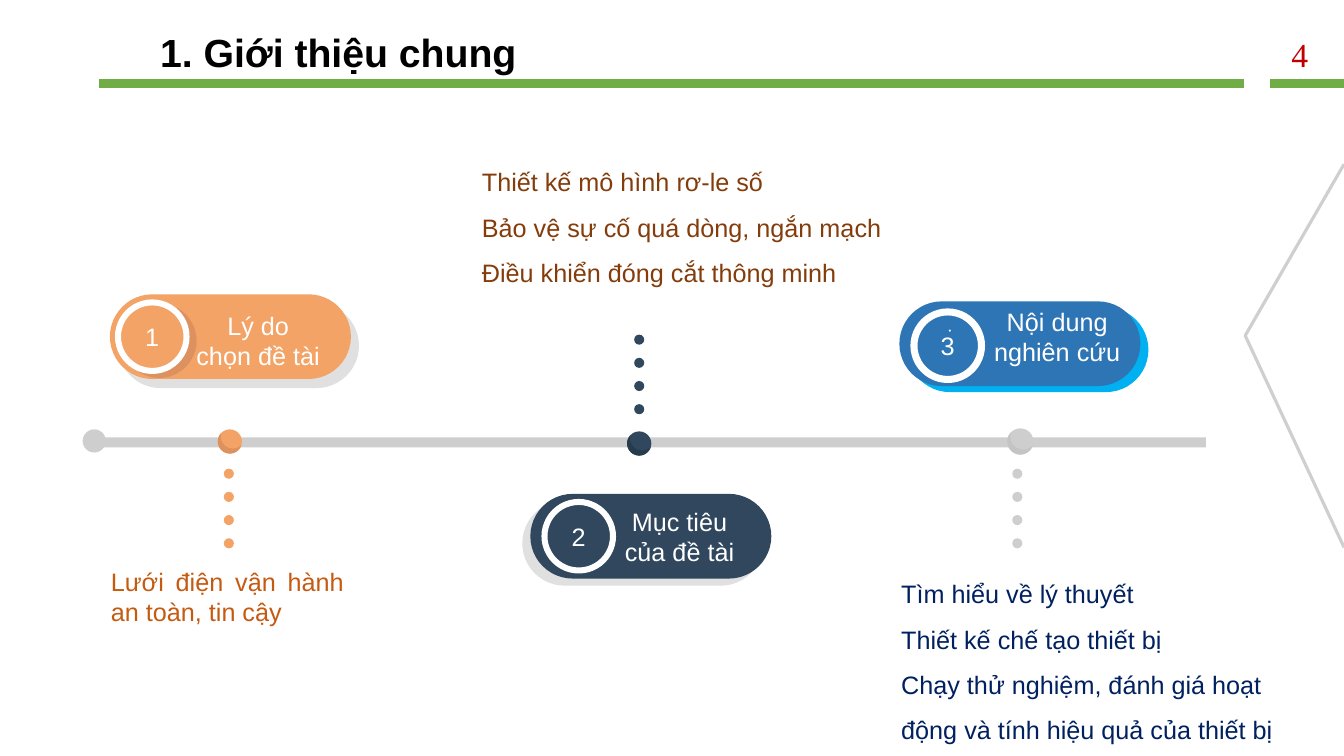
from math import acos, atan2, cos, hypot, pi, sin

from lxml.etree import SubElement
from pptx import Presentation
from pptx.dml.color import RGBColor
from pptx.enum.shapes import MSO_CONNECTOR as Link, MSO_SHAPE as Shape
from pptx.enum.text import MSO_ANCHOR as Anchor, PP_ALIGN as Align
from pptx.oxml.ns import qn
from pptx.util import Emu, Pt

SCALE = 9144  # EMU in one px, 100 px to the inch
COLORS = {
    "black": "000000", "white": "FFFFFF", "green": "70AD47", "red": "C00000",
    "orange": "F2A365", "dark orange": "DD915E", "rust": "C55A11", "brown": "843C0B",
    "navy": "30475E", "dark navy": "263C4C", "blue": "2E75B6", "sky": "00B0F0",
    "deep blue": "002060", "grey": "CECECE", "dark grey": "C4C4C4",
    "pale grey": "E0E0E0", "chevron": "D0CECE",
}


def px(length):
    return Emu(round(length * SCALE))


def color(name):
    return RGBColor.from_string(COLORS[name])


class SlideBuilder:
    def __init__(self, page, font="Arial", size=18):
        self.page = page
        self.shapes = page.shapes
        self.font = font
        self.size = size

    def paint(self, shape, fill):
        shape.shadow.inherit = False
        shape.fill.solid()
        shape.fill.fore_color.rgb = color(fill)
        shape.line.fill.background()
        return shape

    def shape(self, kind, left, top, width, height, fill):
        shape = self.shapes.add_shape(kind, px(left), px(top), px(width), px(height))
        return self.paint(shape, fill)

    def set_text(self, box, lines, ink, align=Align.LEFT, anchor=Anchor.TOP, inset=None,
                 font=None, size=None, bold=False, spacing=None, indent=0):
        frame = box.text_frame
        frame.word_wrap = True
        frame.vertical_anchor = anchor
        if inset is not None:
            frame.margin_left = frame.margin_right = px(inset)
            frame.margin_top = frame.margin_bottom = px(inset)
        frame.text = "\n".join(lines)
        for para in frame.paragraphs:
            para.alignment = align
            if spacing:
                para.line_spacing = spacing
            if indent:
                properties = para._p.get_or_add_pPr()
                properties.set("marL", str(px(indent)))
                properties.set("indent", "0")
            for span in para.runs:
                span.font.name = font or self.font
                span.font.size = Pt(size or self.size)
                span.font.bold = bold
                span.font.color.rgb = color(ink)

    def text(self, left, top, width, height, lines, ink, **style):
        box = self.shapes.add_textbox(px(left), px(top), px(width), px(height))
        self.set_text(box, lines, ink, **style)

    def rule(self, left, right, y):
        line = self.shapes.add_connector(Link.STRAIGHT, px(left), px(y), px(right), px(y))
        line.line.color.rgb = color("green")
        line.line.width = Pt(6)
        SubElement(line._element.spPr, qn("a:effectLst"))

    def outline(self, points, close):
        corners = [(px(x), px(y)) for x, y in points]
        builder = self.shapes.build_freeform(*corners[0])
        builder.add_line_segments(corners[1:], close=close)
        return builder.convert_to_shape()

    def dots(self, left, top, fill, count=4, pitch=23, size=10):
        for step in range(count):
            self.shape(Shape.OVAL, left, top + step * pitch, size, size, fill)

    def node(self, x, y, radius, fill, shade, shift=(3, -5)):
        """Disc centred on x, y, shaded where its shifted twin leaves it bare."""
        self.shape(Shape.OVAL, x - radius, y - radius, 2 * radius, 2 * radius, fill)
        across, down = shift
        turn = atan2(down, across)
        reach = acos(hypot(across, down) / (2 * radius))

        def arc(center_x, center_y, start, end, steps=24):
            angles = [turn + start + (end - start) * i / steps for i in range(steps + 1)]
            return [(center_x + radius * cos(a), center_y + radius * sin(a)) for a in angles]

        outer = arc(x, y, reach, 2 * pi - reach)
        inner = arc(x + across, y + down, pi + reach, pi - reach)
        self.paint(self.outline(outer + inner, True), shade)

    def pill(self, left, top, fill):
        pill = self.shape(Shape.ROUNDED_RECTANGLE, left, top, 239, 84, fill)
        pill.adjustments[0] = 0.5

    def ring(self, x, y, number, fill, stroke):
        """Numbered disc with a white rim, 74 px across in all."""
        size = 74 - stroke
        disc = self.shape(Shape.OVAL, x - size / 2, y - size / 2, size, size, fill)
        disc.line.color.rgb = color("white")
        disc.line.width = px(stroke)
        self.set_text(disc, [number], "white", align=Align.CENTER, anchor=Anchor.MIDDLE, inset=0)

    def label(self, left, top, width, height, lines):
        self.text(left, top, width, height, lines, "white",
                  align=Align.CENTER, anchor=Anchor.BOTTOM, inset=10)


def main():
    deck = Presentation()
    deck.slide_width, deck.slide_height = px(1333), px(750)
    slide = SlideBuilder(deck.slides.add_slide(deck.slide_layouts[6]))

    # Header
    slide.text(1271, 29, 62, 40, ["4"], "red", font="Times New Roman", size=24)
    slide.rule(98, 1234, 83)
    slide.rule(1260, 1333, 83)
    slide.text(149, 23, 459, 57, ["1. Giới thiệu chung"], "black", size=28, bold=True)

    # Timeline
    slide.dots(222, 465, "orange")
    slide.dots(629, 332, "navy")
    slide.dots(1004, 465, "grey")
    slide.shape(Shape.RECTANGLE, 88, 434, 1108, 10, "grey")
    slide.shape(Shape.OVAL, 82, 426, 23, 23, "grey")
    slide.node(228, 438, 12, "orange", "dark orange")
    slide.node(634, 440, 12, "navy", "dark navy")
    slide.node(1012, 438, 13, "grey", "dark grey")

    # Details
    slide.text(97, 573, 257, 38, ["Lưới điện vận hành an toàn, tin cậy"], "rust",
               align=Align.JUSTIFY, anchor=Anchor.MIDDLE, inset=13)
    slide.text(440, 191, 510, 54, [
        "Thiết kế mô hình rơ-le số",
        "Bảo vệ sự cố quá dòng, ngắn mạch",
        "Điều khiển đóng cắt thông minh",
    ], "brown", align=Align.JUSTIFY, anchor=Anchor.MIDDLE, inset=13, spacing=1.5, indent=25)
    slide.text(884, 554, 416, 186, [
        "Tìm hiểu về lý thuyết",
        "Thiết kế chế tạo thiết bị",
        "Chạy thử nghiệm, đánh giá hoạt",
        "động và tính hiệu quả của thiết bị",
    ], "deep blue", align=Align.JUSTIFY, spacing=1.5)

    # Numbered badges
    slide.pill(117, 301, "pale grey")
    slide.pill(109, 292, "orange")
    slide.shape(Shape.OVAL, 121, 301, 74, 74, "dark orange")
    slide.ring(151, 334, "1", "orange", 6)
    slide.label(181, 304, 150, 74, ["Lý do", "chọn đề tài"])

    slide.pill(518, 497, "pale grey")
    slide.pill(526, 490, "navy")
    slide.ring(574, 532, "2", "navy", 6)
    slide.label(599, 527, 150, 45, ["Mục tiêu của đề tài"])

    slide.pill(900, 305, "sky")
    slide.pill(892, 299, "blue")
    slide.ring(940, 343, "3", "blue", 7)
    slide.shape(Shape.OVAL, 941, 327, 2, 2, "white")
    slide.label(969, 287, 159, 87, ["Nội dung nghiên cứu"])

    # Chevron at the right edge
    chevron = slide.outline([(1333, 163), (1235, 333), (1333, 543)], False)
    chevron.shadow.inherit = False
    chevron.fill.background()
    chevron.line.color.rgb = color("chevron")
    chevron.line.width = Pt(2.25)

    deck.save("out.pptx")


if __name__ == "__main__":
    main()
